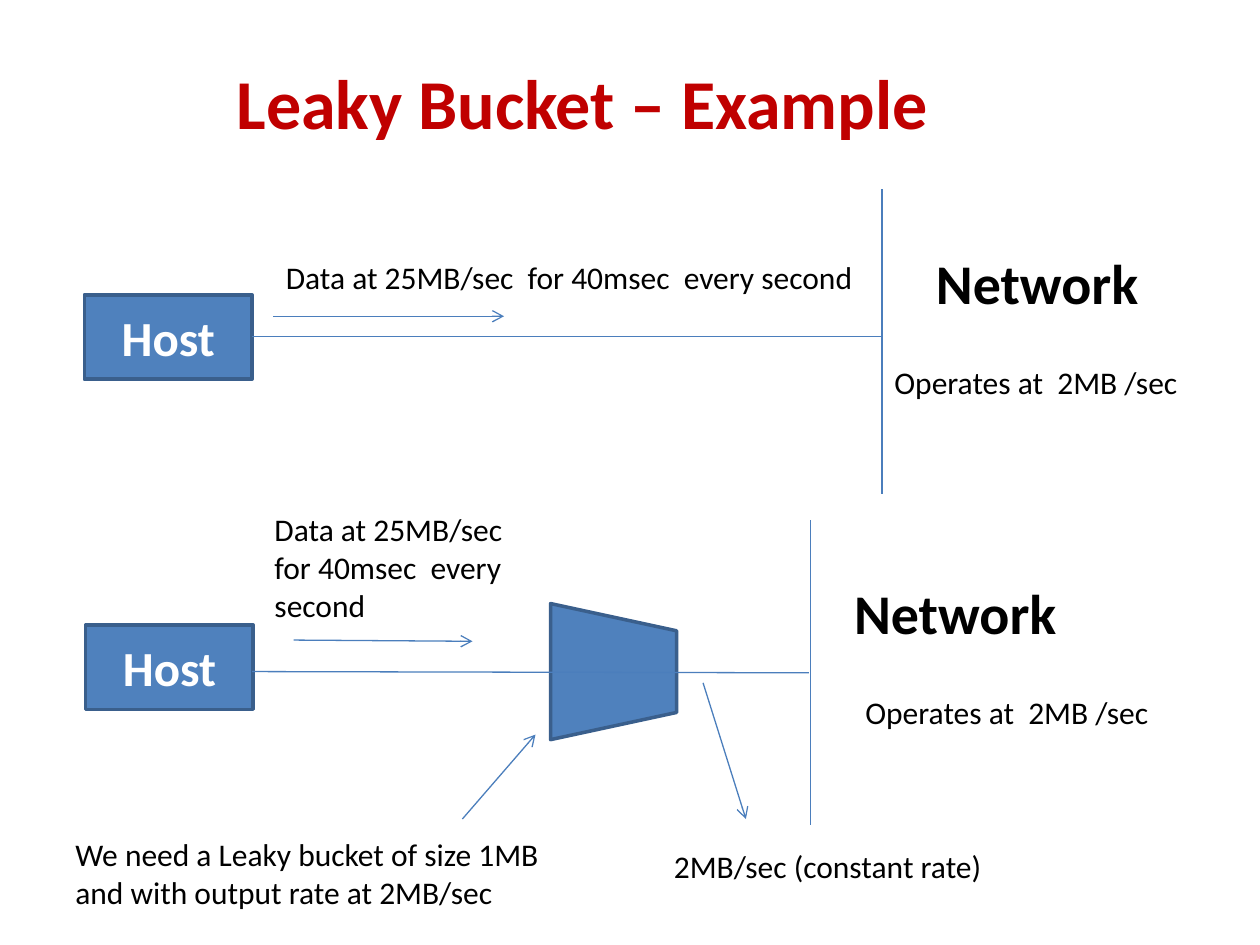
"""Build the leaky bucket example slide."""
from dataclasses import dataclass

from lxml import etree
from pptx import Presentation
from pptx.dml.color import RGBColor
from pptx.enum.shapes import MSO_CONNECTOR, MSO_SHAPE
from pptx.enum.text import MSO_ANCHOR, MSO_AUTO_SIZE, PP_ALIGN
from pptx.oxml.ns import qn
from pptx.util import Inches, Pt

STRAIGHT = MSO_CONNECTOR.STRAIGHT
RECTANGLE = MSO_SHAPE.RECTANGLE
BUCKET = MSO_SHAPE.FLOWCHART_MANUAL_OPERATION
MIDDLE = MSO_ANCHOR.MIDDLE
CENTER = PP_ALIGN.CENTER
NO_AUTOFIT = MSO_AUTO_SIZE.NONE
GROW = MSO_AUTO_SIZE.SHAPE_TO_FIT_TEXT


@dataclass(frozen=True)
class Theme:
    """Fonts, sizes and colours of the slide."""

    font: str = "Calibri"
    title_size: int = 40
    network_size: int = 32
    host_size: int = 28
    note_size: int = 18
    title: str = "C00000"
    text: str = "000000"
    host_text: str = "FFFFFF"
    fill: str = "4F81BD"
    outline: str = "3A5F8C"
    connector: str = "4B7EBC"
    outline_width: float = 2
    connector_width: float = 0.75


class Diagram:
    """Draws styled elements on one slide."""

    def __init__(self, slide, theme):
        """Keep the slide and its theme."""
        self.slide = slide
        self.theme = theme

    def set_text(self, frame, text, size, color, bold=False):
        """Put one styled paragraph in a text frame."""
        frame.word_wrap = True
        frame.text = text
        paragraph = frame.paragraphs[0]
        font = paragraph.font
        font.name, font.size, font.bold = self.theme.font, Pt(size), bold
        font.color.rgb = RGBColor.from_string(color)
        return paragraph

    def title(self, text, left, top, width, height):
        """Place and fill the title placeholder."""
        shape = self.slide.shapes.title
        shape.left, shape.top = Inches(left), Inches(top)
        shape.width, shape.height = Inches(width), Inches(height)
        frame = shape.text_frame
        frame.auto_size = NO_AUTOFIT
        frame.vertical_anchor = MIDDLE
        paragraph = self.set_text(
            frame, text, self.theme.title_size, self.theme.title, True)
        paragraph.alignment = CENTER
        paragraph.line_spacing = 1.5

    def block(self, kind, left, top, width, height):
        """Add a filled and outlined shape."""
        shape = self.slide.shapes.add_shape(
            kind, Inches(left), Inches(top), Inches(width), Inches(height))
        shape.shadow.inherit = False
        shape.fill.solid()
        shape.fill.fore_color.rgb = RGBColor.from_string(self.theme.fill)
        shape.line.color.rgb = RGBColor.from_string(self.theme.outline)
        shape.line.width = Pt(self.theme.outline_width)
        return shape

    def host(self, left, top):
        """Add a host box."""
        frame = self.block(RECTANGLE, left, top, 1.33, 0.67).text_frame
        frame.vertical_anchor = MIDDLE
        paragraph = self.set_text(
            frame, "Host", self.theme.host_size, self.theme.host_text, True)
        paragraph.alignment = CENTER

    def bucket(self, left, top):
        """Add the bucket with its wide side to the left."""
        self.block(BUCKET, left, top, 1.08, 1).rotation = 270

    def label(self, text, left, top, width, height, size=None, bold=False):
        """Add a text box."""
        box = self.slide.shapes.add_textbox(
            Inches(left), Inches(top), Inches(width), Inches(height))
        self.set_text(box.text_frame, text, size or self.theme.note_size,
                      self.theme.text, bold)
        box.text_frame.auto_size = GROW

    def network(self, left, top):
        """Add a network heading."""
        self.label("Network", left, top, 2, 0.64, self.theme.network_size, True)

    def line(self, start, end, arrow=False):
        """Add a straight line, with an arrowhead at its end if wanted."""
        connector = self.slide.shapes.add_connector(
            STRAIGHT, *(Inches(value) for value in (*start, *end)))
        connector.line.color.rgb = RGBColor.from_string(self.theme.connector)
        connector.line.width = Pt(self.theme.connector_width)
        properties = connector.element.spPr
        if arrow:
            outline = properties.find(qn("a:ln"))
            etree.SubElement(outline, qn("a:tailEnd"), type="arrow")
        etree.SubElement(properties, qn("a:effectLst"))


def main():
    """Build and save the slide."""
    presentation = Presentation()
    presentation.slide_width, presentation.slide_height = Inches(10), Inches(7.5)
    slide = presentation.slides.add_slide(presentation.slide_layouts[5])
    diagram = Diagram(slide, Theme())
    burst = "Data at 25MB/sec  for 40msec  every second"
    network_rate = "Operates at  2MB /sec"

    diagram.title("Leaky Bucket – Example ", 0.37, 0.19, 8.63, 0.9)

    diagram.host(0.67, 2.34)
    diagram.line((7, 1.5), (7, 3.92))
    diagram.line((2, 2.67), (7, 2.67))
    diagram.network(7.33, 1.92)
    diagram.line((2.17, 2.51), (4, 2.51), arrow=True)
    diagram.label(burst, 2.17, 2, 4.75, 0.4)
    diagram.label(network_rate, 7, 2.83, 2.75, 0.4)

    diagram.bucket(4.33, 4.83)
    diagram.host(0.68, 4.96)
    diagram.line((6.43, 4.13), (6.43, 6.55))
    diagram.line((2, 5.33), (6.42, 5.34))
    diagram.network(6.68, 4.54)
    diagram.label(network_rate, 6.77, 5.45, 3, 0.4)
    diagram.line((3.67, 6.5), (4.25, 5.83), arrow=True)
    diagram.label("We need a Leaky bucket of size 1MB and with output rate at 2MB/sec",
                  0.5, 6.58, 4.08, 0.71)
    diagram.label(burst, 2.08, 4, 2.08, 1.01)
    diagram.line((2.33, 5.08), (3.75, 5.09), arrow=True)
    diagram.line((5.58, 5.42), (5.92, 6.5), arrow=True)
    diagram.label("2MB/sec (constant rate)", 5.25, 6.67, 2.83, 0.4)

    presentation.save("out.pptx")


if __name__ == "__main__":
    main()
